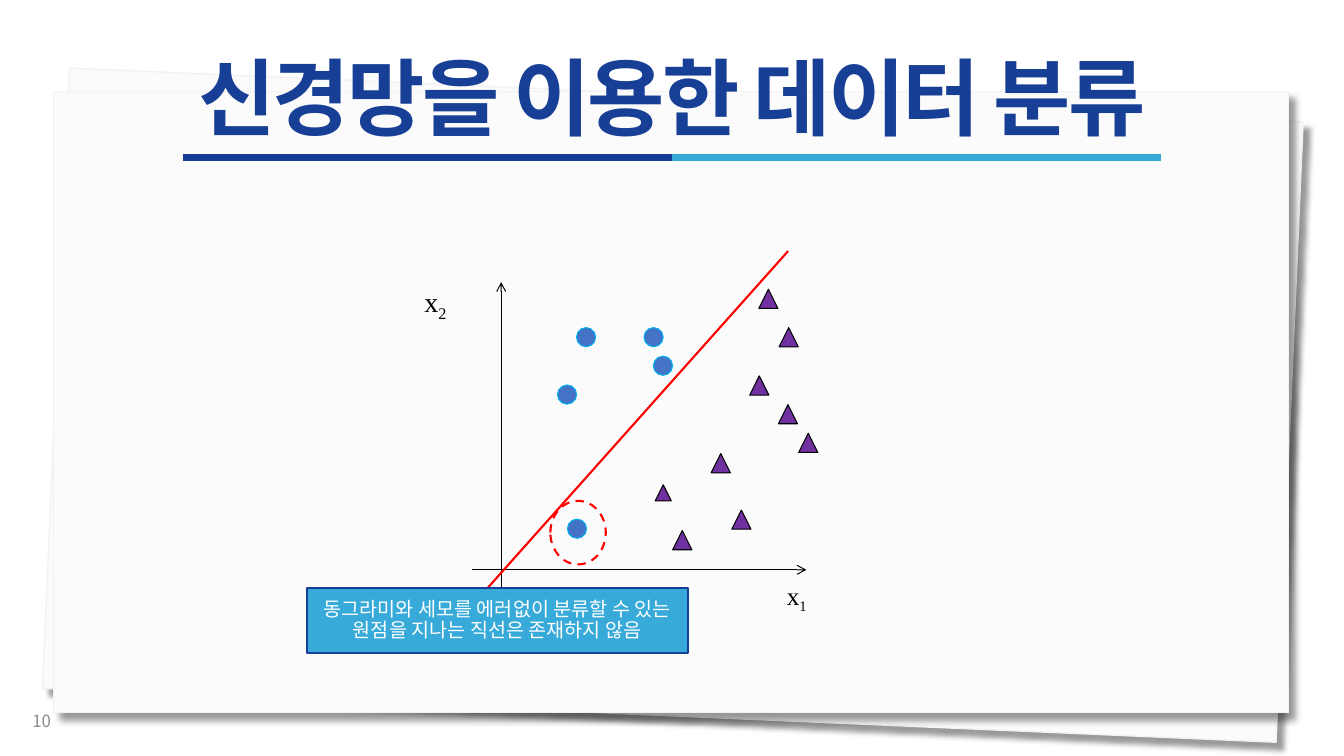
from lxml.etree import SubElement
from pptx import Presentation
from pptx.dml.color import RGBColor
from pptx.enum.dml import MSO_LINE
from pptx.enum.shapes import MSO_CONNECTOR, MSO_SHAPE
from pptx.enum.text import MSO_ANCHOR, MSO_AUTO_SIZE, PP_ALIGN
from pptx.oxml.ns import qn
from pptx.util import Pt

COLORS = {
    "paper": "FBFBFB", "paper_edge": "F2F2F2", "navy": "173F95",
    "rule_left": "163E94", "sky": "37AADA", "rule_right": "36AAD9",
    "circle": "4472C4", "circle_edge": "00B0F0", "triangle": "7030A0",
    "red": "FF0000", "black": "000000", "white": "FFFFFF", "gray": "8C8C8C",
}
KOREAN = "Noto Sans CJK KR"
SERIF = "Times New Roman"
MARKER_SIZE = 13.7

# Left and top of each data marker
CIRCLES = [(411.8, 234), (460, 234), (466.7, 254.4), (398.2, 275), (405.3, 370.8)]
TRIANGLES = [(535.5, 268.5), (556, 289), (570.5, 309.5), (508, 324), (522.7, 364.3),
             (480.5, 379), (542, 206.6), (556.5, 234)]


def color(name):
    return RGBColor.from_string(COLORS[name])


def add_figure(slide, preset, left, top, width, height, fill, edge, weight=0.75):
    figure = slide.shapes.add_shape(preset, Pt(left), Pt(top), Pt(width), Pt(height))
    figure.shadow.inherit = False
    if fill:
        figure.fill.solid()
        figure.fill.fore_color.rgb = color(fill)
    else:
        figure.fill.background()
    figure.line.color.rgb = color(edge)
    figure.line.width = Pt(weight)
    return figure


def add_paper(slide, left, top, rotation):
    paper = add_figure(slide, MSO_SHAPE.RECTANGLE, left, top, 882, 443.5,
                       "paper", "paper_edge", 1)
    paper.rotation = rotation
    effects = paper.element.spPr.find(qn("a:effectLst"))
    shadow = SubElement(effects, qn("a:outerShdw"), blurRad=str(Pt(4)), dist=str(Pt(7)),
                        dir="2700000", algn="tl", rotWithShape="0")
    shade = SubElement(shadow, qn("a:srgbClr"), val=COLORS["black"])
    SubElement(shade, qn("a:alpha"), val="40000")


def add_line(slide, start, end, stroke, weight, arrow=False):
    line = slide.shapes.add_connector(MSO_CONNECTOR.STRAIGHT, *map(Pt, start + end))
    line.line.color.rgb = color(stroke)
    line.line.width = Pt(weight)
    if arrow:
        SubElement(line.line._get_or_add_ln(), qn("a:tailEnd"), type="arrow")
    SubElement(line.element.spPr, qn("a:effectLst"))


def add_run(paragraph, text, size, font, ink, bold=False):
    run = paragraph.add_run()
    run.text = text
    run.font.size = Pt(size)
    run.font.bold = bold
    run.font.color.rgb = color(ink)
    run.font.name = font
    SubElement(run.font._element, qn("a:ea"), typeface=font)
    return run


def add_text_box(slide, left, top, width, height):
    box = slide.shapes.add_textbox(Pt(left), Pt(top), Pt(width), Pt(height))
    box.text_frame.word_wrap = True
    return box.text_frame


def add_axis_label(slide, left, top, height, index, size):
    frame = add_text_box(slide, left, top, 62.6, height)
    frame.auto_size = MSO_AUTO_SIZE.SHAPE_TO_FIT_TEXT
    paragraph = frame.paragraphs[0]
    add_run(paragraph, "x", size, SERIF, "black")
    subscript = add_run(paragraph, index, size, SERIF, "black")
    subscript.font._element.set("baseline", "-25000")


def set_title(slide, text):
    title = slide.shapes.title
    title.element.getparent().append(title.element)  # in front of the paper
    title.left, title.top, title.width, title.height = Pt(0), Pt(40.3), Pt(960), Pt(64.8)
    frame = title.text_frame
    frame.auto_size = MSO_AUTO_SIZE.NONE
    frame.vertical_anchor = MSO_ANCHOR.MIDDLE
    paragraph = frame.paragraphs[0]
    paragraph.alignment = PP_ALIGN.CENTER
    paragraph.line_spacing = 0.9
    properties = add_run(paragraph, text, 60, KOREAN, "navy", True).font._element
    properties.set("spc", "-190")


def add_callout(slide, text):
    callout = add_figure(slide, MSO_SHAPE.RECTANGLE, 219, 420.3, 272.5, 46.3,
                         "sky", "navy", 1.5)
    frame = callout.text_frame
    frame.word_wrap = True
    frame.vertical_anchor = MSO_ANCHOR.MIDDLE
    paragraph = frame.paragraphs[0]
    paragraph.alignment = PP_ALIGN.CENTER
    paragraph.line_spacing = 0.9
    add_run(paragraph, text, 14, KOREAN, "white")


def main():
    deck = Presentation()
    deck.slide_width, deck.slide_height = Pt(960), Pt(540)
    slide = deck.slides.add_slide(deck.slide_layouts[5])

    # Stacked paper
    add_paper(slide, 39.6, 67.7, 2.5)
    add_paper(slide, 38.2, 65.5, 0)

    # Title with two-tone rule
    add_line(slide, (130.5, 112.5), (480, 112.5), "rule_left", 4.5)
    add_line(slide, (480, 112.5), (829.5, 112.5), "rule_right", 4.5)
    set_title(slide, "신경망을 이용한 데이터 분류")

    # Page number
    page_number = add_text_box(slide, 16, 500.4, 216, 28.8)
    page_number.vertical_anchor = MSO_ANCHOR.MIDDLE
    add_run(page_number.paragraphs[0], "10", 12, KOREAN, "gray")

    # Axes
    add_line(slide, (337, 407), (576, 407), "black", 0.75, arrow=True)
    add_line(slide, (358, 428), (358, 201.6), "black", 0.75, arrow=True)
    add_axis_label(slide, 296, 199.5, 37.4, "2", 20)
    add_axis_label(slide, 555, 411, 35.3, "1", 18)

    # Data points
    for left, top in CIRCLES:
        add_figure(slide, MSO_SHAPE.OVAL, left, top, MARKER_SIZE, MARKER_SIZE,
                   "circle", "circle_edge")
    for left, top in TRIANGLES:
        add_figure(slide, MSO_SHAPE.ISOSCELES_TRIANGLE, left, top, MARKER_SIZE, MARKER_SIZE,
                   "triangle", "black")
    add_figure(slide, MSO_SHAPE.ISOSCELES_TRIANGLE, 468, 346.3, 11.5, 11.5,
               "triangle", "black")

    # Separating line, misclassified point and explanation
    add_line(slide, (563, 179.3), (337, 432.7), "red", 1.5)
    error_ring = add_figure(slide, MSO_SHAPE.OVAL, 393.1, 357.8, 39.6, 45.4,
                            None, "red", 1.5)
    error_ring.line.dash_style = MSO_LINE.DASH
    add_callout(slide, "동그라미와 세모를 에러없이 분류할 수 있는 원점을 지나는 직선은 존재하지 않음")

    deck.save("out.pptx")


if __name__ == "__main__":
    main()
